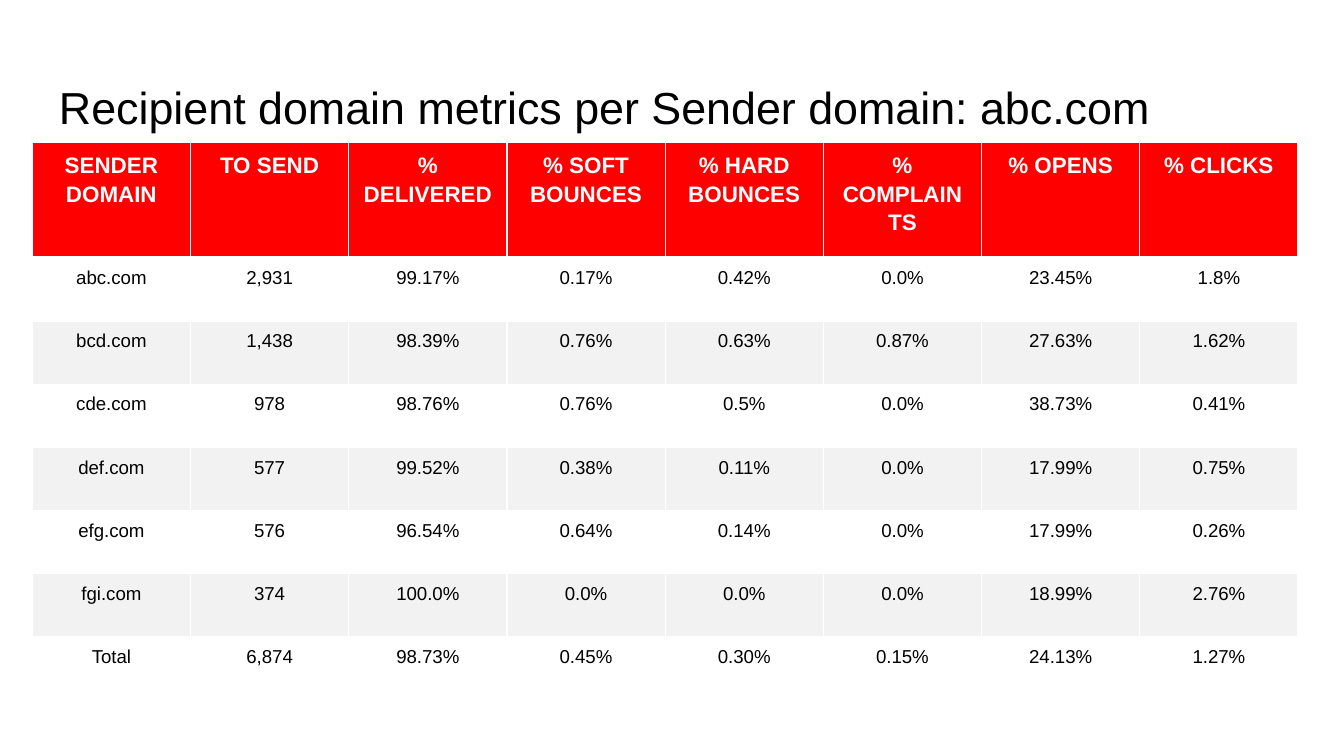
from lxml import etree
from pptx import Presentation
from pptx.dml.color import RGBColor
from pptx.enum import text
from pptx.oxml.ns import qn
from pptx.util import Inches, Pt

BLACK = RGBColor(0, 0, 0)
WHITE = RGBColor(255, 255, 255)
RED = RGBColor(255, 0, 0)
GRAY = RGBColor(0xF2, 0xF2, 0xF2)

TITLE = "Recipient domain metrics per Sender domain: abc.com"
HEADERS = ["SENDER DOMAIN", "TO SEND", "% DELIVERED", "% SOFT BOUNCES",
           "% HARD BOUNCES", "% COMPLAINTS", "% OPENS", "% CLICKS"]
METRICS = [
    ["abc.com", "2,931", "99.17%", "0.17%", "0.42%", "0.0%", "23.45%", "1.8%"],
    ["bcd.com", "1,438", "98.39%", "0.76%", "0.63%", "0.87%", "27.63%", "1.62%"],
    ["cde.com", "978", "98.76%", "0.76%", "0.5%", "0.0%", "38.73%", "0.41%"],
    ["def.com", "577", "99.52%", "0.38%", "0.11%", "0.0%", "17.99%", "0.75%"],
    ["efg.com", "576", "96.54%", "0.64%", "0.14%", "0.0%", "17.99%", "0.26%"],
    ["fgi.com", "374", "100.0%", "0.0%", "0.0%", "0.0%", "18.99%", "2.76%"],
    ["Total", "6,874", "98.73%", "0.45%", "0.30%", "0.15%", "24.13%", "1.27%"],
]


def write(tf, content, size=10, color=BLACK, bold=False,
          align=text.PP_ALIGN.CENTER, spacing=1.15):
    tf.word_wrap = True
    p = tf.paragraphs[0]
    p.alignment = align
    p.line_spacing = spacing
    r = p.add_run()
    r.text = content
    r.font.name = "Arial"
    r.font.size = Pt(size)
    r.font.bold = bold
    r.font.color.rgb = color


def set_borders(cell, **widths):
    """Draw white cell borders, with widths in points keyed by L, R, T and B."""
    tc_pr = cell._tc.get_or_add_tcPr()
    for i, (side, width) in enumerate(widths.items()):
        ln = etree.Element(qn(f"a:ln{side}"), w=str(Pt(width)))
        fill = etree.SubElement(ln, qn("a:solidFill"))
        etree.SubElement(fill, qn("a:srgbClr"), val=str(WHITE))
        tc_pr.insert(i, ln)


class MetricsSlide:
    def __init__(self, prs):
        self.s = prs.slides.add_slide(prs.slide_layouts[6])

    def title(self, content, left, top, width, height):
        box = self.s.shapes.add_textbox(Inches(left), Inches(top),
                                        Inches(width), Inches(height))
        tf = box.text_frame
        tf.margin_left = tf.margin_right = Inches(0.1)
        tf.margin_top = tf.margin_bottom = Inches(0.1)
        tf.vertical_anchor = text.MSO_ANCHOR.TOP
        write(tf, content, size=24, align=text.PP_ALIGN.LEFT, spacing=1.0)

    def table(self, rows, left, top, width, header_height, row_height):
        height = header_height + row_height * (len(rows) - 1)
        table = self.s.shapes.add_table(
            len(rows), len(rows[0]), Inches(left), Inches(top),
            Inches(width), Inches(height)).table
        table.horz_banding = False
        for i, values in enumerate(rows):
            table.rows[i].height = Inches(row_height if i else header_height)
            for j, value in enumerate(values):
                self.cell(table.cell(i, j), value, i)

    def cell(self, cell, value, row):
        cell.margin_left = cell.margin_right = Inches(0.1)
        cell.margin_top = cell.margin_bottom = Inches(0.05)
        if row == 0:
            fill = RED
            write(cell.text_frame, value, size=12, color=WHITE, bold=True)
        else:
            fill = WHITE if row % 2 else GRAY
            write(cell.text_frame, value)
        cell.fill.solid()
        cell.fill.fore_color.rgb = fill
        set_borders(cell, L=0.75, R=0.75, T=3 if row == 1 else 0.75,
                    B=3 if row == 0 else 0.75)


def main():
    prs = Presentation()
    prs.slide_width = Inches(10)
    prs.slide_height = prs.slide_width * 9 // 16
    slide = MetricsSlide(prs)
    slide.title(TITLE, 0.34, 0.49, 9.32, 0.63)
    slide.table([HEADERS] + METRICS, 0.24, 1.06, 9.42,
                header_height=0.86, row_height=0.47)
    prs.save("out.pptx")


if __name__ == "__main__":
    main()
